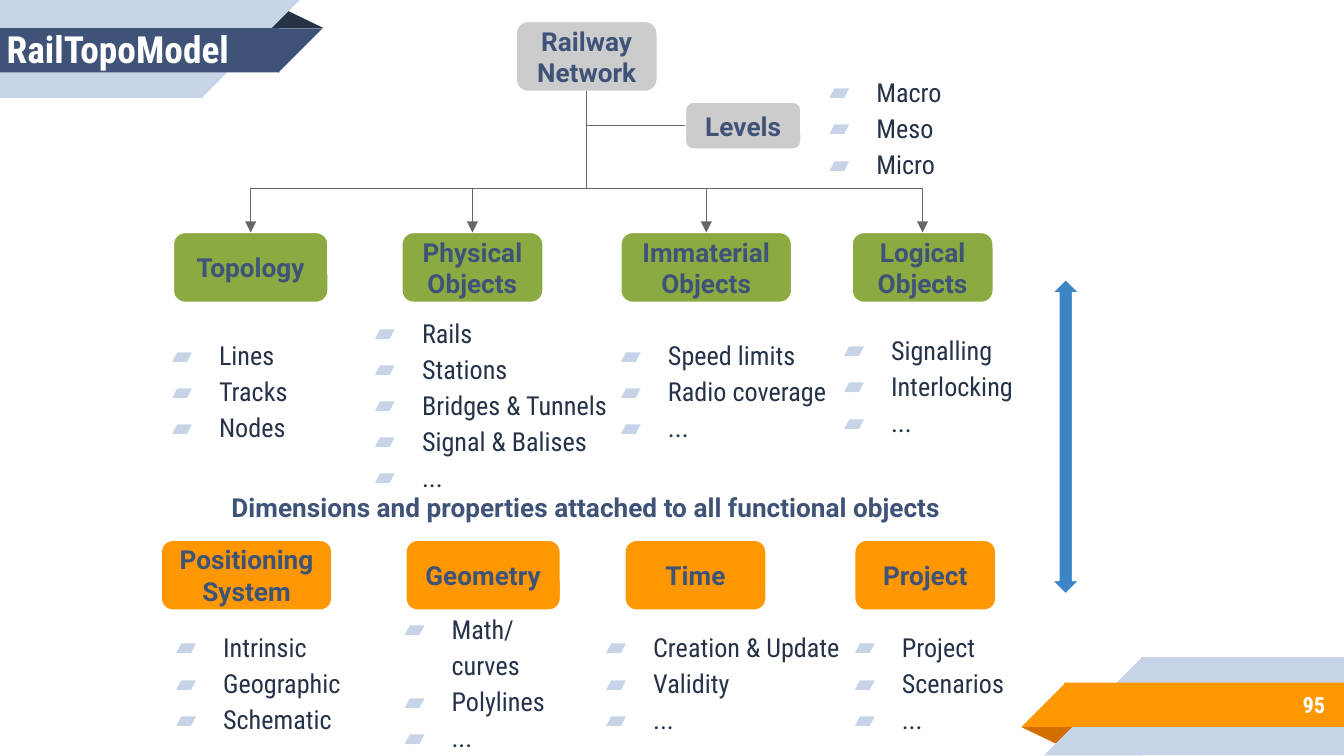
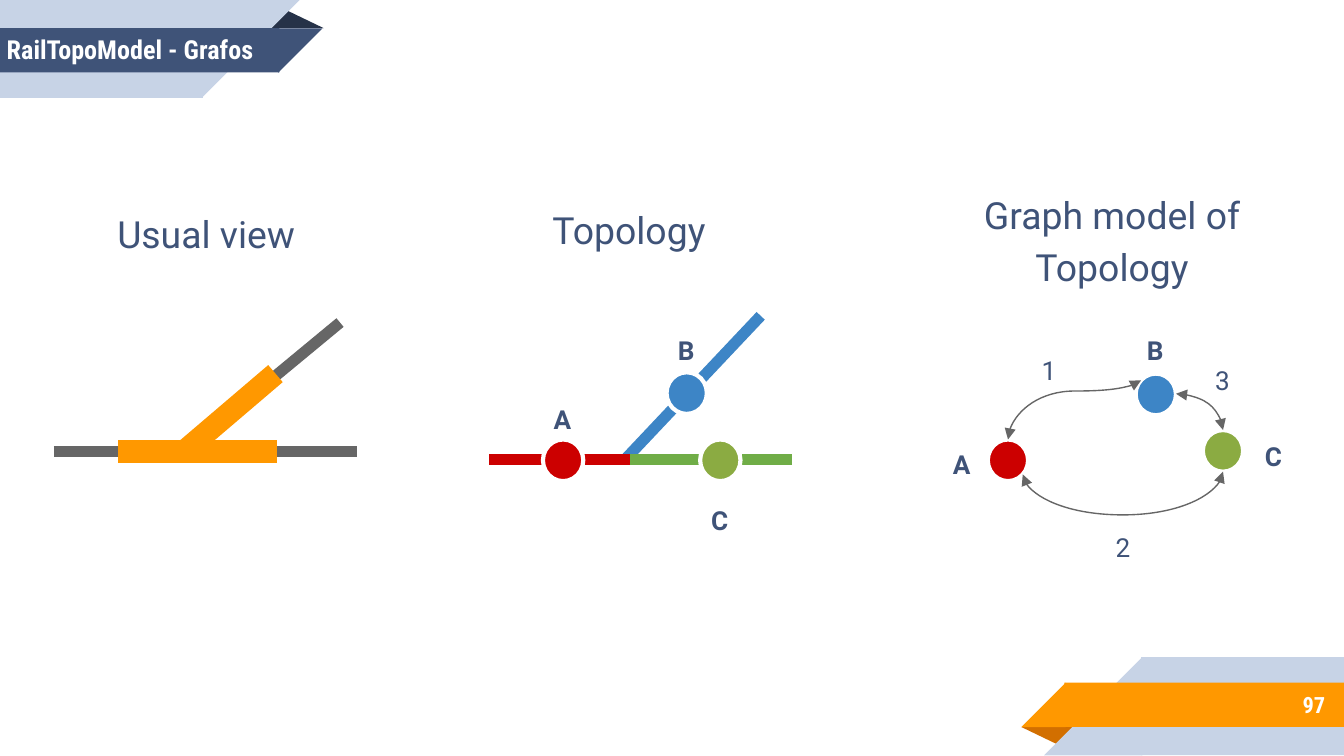
from copy import deepcopy

from lxml.etree import SubElement
from pptx import Presentation
from pptx.dml.color import RGBColor
from pptx.enum.shapes import MSO_CONNECTOR, MSO_SHAPE
from pptx.enum.text import MSO_ANCHOR, MSO_AUTO_SIZE, PP_ALIGN
from pptx.oxml.ns import qn
from pptx.util import Inches, Pt

WHITE = RGBColor(0xFF, 0xFF, 0xFF)
NAVY = RGBColor(0x3F, 0x53, 0x78)
INK = RGBColor(0x26, 0x32, 0x48)
PALE = RGBColor(0xC7, 0xD3, 0xE6)
ORANGE = RGBColor(0xFF, 0x98, 0x00)
RUST = RGBColor(0xD2, 0x6F, 0x00)
GREEN = RGBColor(0x8B, 0xAB, 0x42)
LEAF = RGBColor(0x70, 0xAD, 0x47)
SILVER = RGBColor(0xCC, 0xCC, 0xCC)
GRAY = RGBColor(0x66, 0x66, 0x66)
BLUE = RGBColor(0x3D, 0x85, 0xC6)
RED = RGBColor(0xCC, 0x00, 0x00)

CONDENSED, SANS = "Roboto Condensed", "Roboto"
TITLE = {"name": CONDENSED, "bold": True, "color": WHITE}
NUMBER = {"name": CONDENSED, "size": 12, "bold": True, "color": WHITE}
LISTING = {"name": CONDENSED, "size": 14, "bold": False, "color": INK}
LABEL = {"name": SANS, "size": 14, "bold": True, "color": NAVY}
EDGE_LABEL = {**LABEL, "bold": False}
HEADING = {**EDGE_LABEL, "size": 20}

CORNER, WEDGE, BAR = MSO_SHAPE.ISOSCELES_TRIANGLE, MSO_SHAPE.RIGHT_TRIANGLE, MSO_SHAPE.RECTANGLE
BANDS = [
    (CORNER, (7.6, 5.41, 0.43, 0.14), 180, RUST),
    (BAR, (8.49, 4.89, 1.51, 0.73), 0, PALE),
    (WEDGE, (7.77, 4.89, 0.73, 0.73), 0, PALE),
    (BAR, (7.92, 5.08, 2.08, 0.33), 0, ORANGE),
    (WEDGE, (7.6, 5.08, 0.33, 0.33), 0, ORANGE),
    (CORNER, (1.98, 0.07, 0.43, 0.14), 0, INK),
    (BAR, (0, 0, 1.51, 0.73), 0, PALE),
    (WEDGE, (1.5, 0, 0.73, 0.73), 180, PALE),
    (BAR, (0, 0.21, 2.08, 0.33), 0, NAVY),
    (WEDGE, (2.07, 0.21, 0.33, 0.33), 180, NAVY),
]

BOX_HEIGHT, LIST_HEIGHT = 0.52, 1.29
ROOT = ("Railway Network", (3.84, 0.16, 1.05, BOX_HEIGHT))
LEVELS = ("Levels", (5.1, 0.76, 0.86, 0.35))
OBJECTS_TOP, PROPERTIES_TOP = 1.73, 4.02
OBJECTS = [("Topology", 1.29, 1.15), ("Physical Objects", 2.99, 1.05),
           ("Immaterial Objects", 4.62, 1.27), ("Logical Objects", 6.34, 1.05)]
PROPERTIES = [("Positioning System", 1.2, 1.27), ("Geometry", 3.02, 1.15),
              ("Time", 4.65, 1.05), ("Project", 6.36, 1.05)]
LISTS = [
    (5.92, 0.29, 1.67, ["Macro", "Meso", "Micro"]),
    (1.03, 2.25, 1.67, ["Lines", "Tracks", "Nodes"]),
    (2.54, 2.35, 2.13, ["Rails", "Stations", "Bridges & Tunnels", "Signal & Balises", "..."]),
    (4.37, 2.25, 2.0, ["Speed limits", "Radio coverage", "..."]),
    (6.03, 2.21, 1.67, ["Signalling", "Interlocking", "..."]),
    (1.06, 4.42, 1.67, ["Intrinsic", "Geographic", "Schematic"]),
    (2.76, 4.42, 1.67, ["Math/curves", "Polylines", "..."]),
    (4.26, 4.42, 2.11, ["Creation & Update", "Validity", "..."]),
    (6.11, 4.42, 1.67, ["Project", "Scenarios", "..."]),
]
CAPTION = "Dimensions and properties attached to all functional objects"

TRACKS = [
    ((4.65, 3.42), (5.66, 2.35), BLUE, 6),
    ((0.4, 3.36), (2.66, 3.36), GRAY, 6),
    ((1.37, 3.36), (2.53, 2.4), GRAY, 6),
    ((0.88, 3.36), (2.06, 3.36), ORANGE, 12),
    ((1.37, 3.36), (2.05, 2.78), ORANGE, 12),
    ((3.64, 3.42), (4.74, 3.42), RED, 6),
    ((4.69, 3.42), (5.89, 3.42), LEAF, 6),
]
NODES = [(4.04, 3.27, RED), (5.21, 3.27, GREEN), (4.96, 2.77, BLUE),
         (7.35, 3.27, RED), (8.95, 3.2, GREEN), (8.45, 2.78, BLUE)]
EDGES = [
    ("curvedConnector3", (7.5, 3.27), (8.49, 2.83), True, 0.82),
    ("curvedConnector3", (7.61, 3.53), (9.1, 3.51), True, -15),
    ("curvedConnector2", (8.75, 2.93), (9.1, 3.2), False, None),
]
NODE_LABELS = [("A", 3.99, 2.87), ("B", 4.91, 2.35), ("C", 5.16, 3.62),
               ("A", 6.96, 3.2), ("B", 8.4, 2.35), ("C", 9.28, 3.14)]
EDGE_LABELS = [("1", 7.61, 2.5), ("2", 8.16, 3.82), ("3", 8.9, 2.58)]
HEADINGS = [("Usual view", (0.72, 1.42, 1.63, 0.54)),
            ("Topology", (3.8, 1.39, 1.76, 0.54)),
            ("Graph model of Topology", (6.91, 1.28, 2.73, 0.93))]


def place(shape, area):
    for name, value in zip(("left", "top", "width", "height"), area):
        setattr(shape, name, Inches(value))


def style_font(font, style):
    for name, value in style.items():
        if name == "color":
            font.color.rgb = value
        else:
            setattr(font, name, Pt(value) if name == "size" else value)


def add_bullet(para):
    properties = para._p.get_or_add_pPr()
    properties.set("marL", str(Inches(0.5)))
    properties.set("indent", str(Inches(-0.35)))
    color = SubElement(properties, qn("a:buClr"))
    SubElement(color, qn("a:srgbClr"), val=str(PALE))
    SubElement(properties, qn("a:buFont"), typeface=CONDENSED)
    SubElement(properties, qn("a:buChar"), char="▰")


def write(shape, lines, style, align=PP_ALIGN.CENTER, anchor=MSO_ANCHOR.MIDDLE,
          spacing=1.0, bulleted=False):
    frame = shape.text_frame
    frame.text = "\n".join(lines)
    settings = {"word_wrap": True, "auto_size": MSO_AUTO_SIZE.NONE, "vertical_anchor": anchor}
    settings |= {f"margin_{side}": Inches(0.1) for side in ("left", "top", "right", "bottom")}
    for name, value in settings.items():
        setattr(frame, name, value)
    for para in frame.paragraphs:
        if bulleted:
            add_bullet(para)
        para.alignment = align
        para.line_spacing = spacing
        para.space_before = Pt(0)
        for span in para.runs:
            style_font(span.font, style)


def add_figure(page, preset, area, fill, outline=0.0):
    shape = page.shapes.add_shape(preset, *map(Inches, area))
    shape.shadow.inherit = False
    shape.fill.solid()
    shape.fill.fore_color.rgb = fill
    if outline:
        shape.line.color.rgb = WHITE
        shape.line.width = Pt(outline)
    else:
        shape.line.fill.background()
    return shape


def add_box(page, text, area, fill):
    write(add_figure(page, MSO_SHAPE.ROUNDED_RECTANGLE, area, fill, 0.75), [text], LABEL)


def add_label(page, text, area, style, **options):
    box = page.shapes.add_textbox(*map(Inches, area))
    write(box, [text], style, **options)


def add_link(page, preset, start, end, color=GRAY, width=0.75, ends=(),
             vertical_first=False, adjust=None):
    (x1, y1), (x2, y2) = start, end
    across, down = x2 - x1, y2 - y1
    corners = (x1, y1, x2, y2)
    if vertical_first:
        middle_x, middle_y = (x1 + x2) / 2, (y1 + y2) / 2
        half_width, half_height = abs(down) / 2, abs(across) / 2
        corners = (middle_x - half_width, middle_y - half_height,
                   middle_x + half_width, middle_y + half_height)
    link = page.shapes.add_connector(MSO_CONNECTOR.STRAIGHT, *map(Inches, corners))
    link.line.color.rgb = color
    link.line.width = Pt(width)
    properties = link.element.spPr
    if vertical_first:
        frame = properties.find(qn("a:xfrm"))
        frame.set("rot", str((90 if across < 0 else 270) * 60000))
        if across > 0 and down > 0:
            frame.set("flipH", "1")
    geometry = properties.find(qn("a:prstGeom"))
    geometry.set("prst", preset)
    if adjust is not None:
        guides = geometry.find(qn("a:avLst"))
        if guides is None:
            guides = SubElement(geometry, qn("a:avLst"))
        SubElement(guides, qn("a:gd"), name="adj1", fmla=f"val {round(adjust * 100000)}")
    for tag in ends:
        SubElement(properties.find(qn("a:ln")), qn(f"a:{tag}"), type="triangle")
    SubElement(properties, qn("a:effectLst"))


def add_bands(deck, page):
    for number, (preset, area, turn, fill) in enumerate(BANDS, 100):
        band = add_figure(page, preset, area, fill)
        band.rotation = turn
        if preset == CORNER:
            band.adjustments[0] = 0.324
        if preset == WEDGE:
            band.element.spPr.find(qn("a:xfrm")).set("flipH", "1")
        band.element.nvSpPr.cNvPr.set("id", str(number))
        deck.slide_master.shapes.element.append(band.element)


def add_list_slots(layout):
    body = layout.placeholders[1].element
    for number in range(20, 19 + len(LISTS)):
        slot = deepcopy(body)
        slot.nvSpPr.cNvPr.set("id", str(number))
        slot.find(".//" + qn("p:ph")).set("idx", str(number))
        body.addnext(slot)


def add_page(deck, layout, title, area, size, number):
    page = deck.slides.add_slide(layout)
    place(page.shapes.title, area)
    write(page.shapes.title, [title], {**TITLE, "size": size}, PP_ALIGN.LEFT)
    add_label(page, number, (8.33, 5.07, 1.63, 0.35), NUMBER, align=PP_ALIGN.RIGHT)
    return page


def fill_model(page):
    add_box(page, *ROOT, SILVER)
    add_box(page, *LEVELS, SILVER)
    left, top, width, height = ROOT[1]
    start = (left + width / 2, top + height)
    for row, row_top, fill in ((OBJECTS, OBJECTS_TOP, GREEN),
                               (PROPERTIES, PROPERTIES_TOP, ORANGE)):
        for text, box_left, box_width in row:
            add_box(page, text, (box_left, row_top, box_width, BOX_HEIGHT), fill)
    for _, box_left, box_width in OBJECTS:
        add_link(page, "bentConnector3", start, (box_left + box_width / 2, OBJECTS_TOP),
                 ends=["tailEnd"], vertical_first=True, adjust=0.69)
    left, top, _, height = LEVELS[1]
    add_link(page, "bentConnector2", start, (left, top + height / 2), vertical_first=True)
    slots = list(page.placeholders)[1:]
    for slot, (left, top, width, items) in zip(slots, LISTS):
        place(slot, (left, top, width, LIST_HEIGHT))
        write(slot, items, LISTING, PP_ALIGN.LEFT, spacing=1.15, bulleted=True)
    add_figure(page, MSO_SHAPE.UP_DOWN_ARROW, (7.83, 2.08, 0.2, 2.34), BLUE, 0.75)
    add_label(page, CAPTION, (0.32, 3.56, 8.08, 0.44), LABEL, anchor=MSO_ANCHOR.TOP)


def fill_graphs(page):
    for start, end, color, width in TRACKS:
        add_link(page, "line", start, end, color, width)
    for left, top, fill in NODES:
        add_figure(page, MSO_SHAPE.OVAL, (left, top, 0.3, 0.31), fill, 2.25)
    for preset, start, end, vertical_first, adjust in EDGES:
        add_link(page, preset, start, end, ends=["headEnd", "tailEnd"],
                 vertical_first=vertical_first, adjust=adjust)
    for labels, style in ((NODE_LABELS, LABEL), (EDGE_LABELS, EDGE_LABEL)):
        for text, left, top in labels:
            add_label(page, text, (left, top, 0.39, 0.44), style,
                      anchor=MSO_ANCHOR.TOP, spacing=1.15)
    for text, area in HEADINGS:
        add_label(page, text, area, HEADING, anchor=MSO_ANCHOR.TOP, spacing=1.15)


def main():
    deck = Presentation()
    deck.slide_width = Inches(10)
    deck.slide_height = deck.slide_width * 9 // 16
    list_layout, title_layout = deck.slide_layouts[1], deck.slide_layouts[5]
    add_list_slots(list_layout)
    model = add_page(deck, list_layout, "RailTopoModel", (-0.05, 0, 2.05, 0.72), 20, "95")
    add_bands(deck, model)
    fill_model(model)
    graphs = add_page(deck, title_layout, "RailTopoModel - Grafos",
                      (-0.05, 0.14, 2.73, 0.45), 14, "97")
    fill_graphs(graphs)
    deck.save("out.pptx")


if __name__ == "__main__":
    main()
